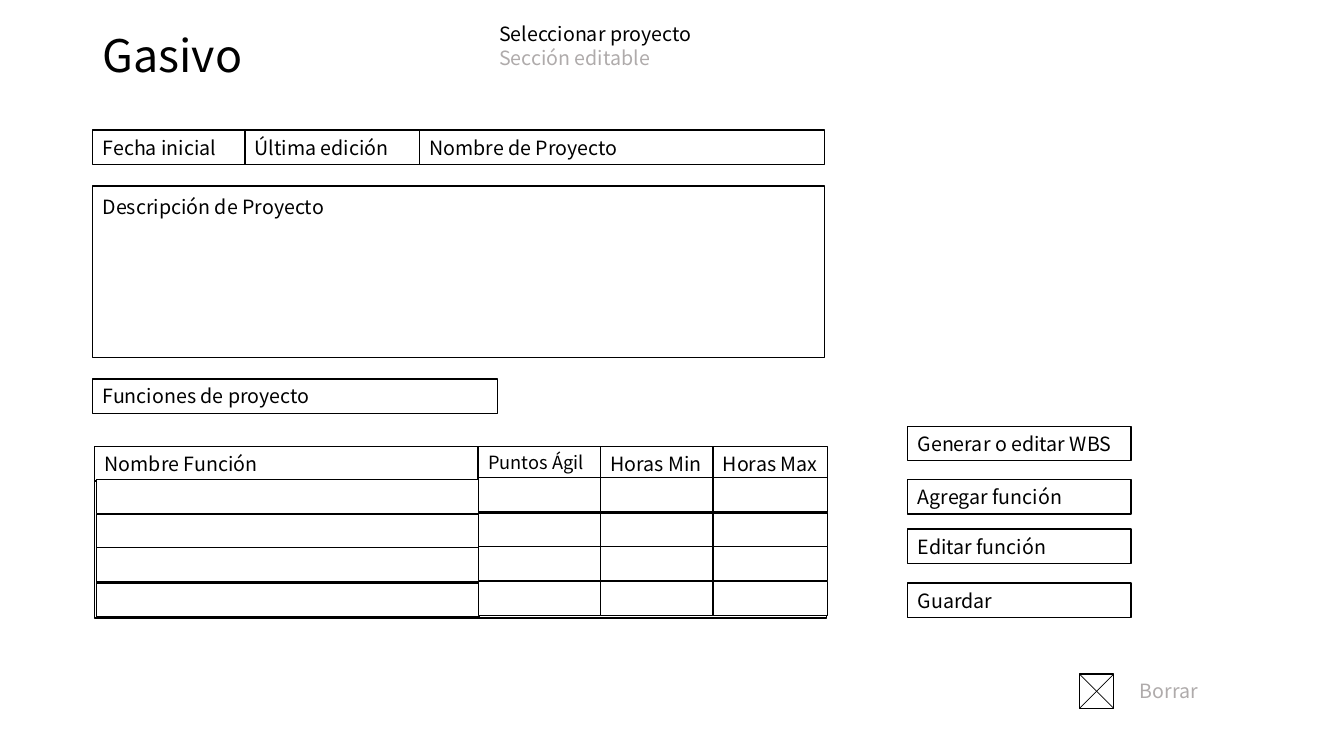
from pptx import Presentation
from pptx.dml.color import RGBColor
from pptx.enum.shapes import MSO_CONNECTOR, MSO_SHAPE
from pptx.enum.text import MSO_ANCHOR, PP_ALIGN
from pptx.oxml.ns import qn
from pptx.util import Pt
from lxml import etree

BLACK = RGBColor(0x00, 0x00, 0x00)
WHITE = RGBColor(0xFF, 0xFF, 0xFF)
GRAY = RGBColor(0xAF, 0xAB, 0xAB)
RECTANGLE = MSO_SHAPE.RECTANGLE
STRAIGHT = MSO_CONNECTOR.STRAIGHT
MIDDLE = MSO_ANCHOR.MIDDLE
LEFT = PP_ALIGN.LEFT
FONT = "Noto Sans CJK SC"
ROW_HEIGHT = 24.5


class Wireframe:
    def __init__(self, slide):
        self.shapes = slide.shapes

    def set_text(self, shape, text, size, color):
        frame = shape.text_frame
        frame.word_wrap = True
        frame.vertical_anchor = MIDDLE
        frame.margin_right = 0
        paragraph = frame.paragraphs[0]
        paragraph.alignment = LEFT
        run = paragraph.add_run()
        run.text = text
        run.font.name = FONT
        run.font.size = Pt(size)
        run.font.color.rgb = color

    def label(self, text, left, top, width, height=ROW_HEIGHT, size=14, color=BLACK):
        box = self.shapes.add_textbox(Pt(left), Pt(top), Pt(width), Pt(height))
        self.set_text(box, text, size, color)

    def box(self, left, top, width, height=ROW_HEIGHT, text="", size=14):
        shape = self.shapes.add_shape(RECTANGLE, Pt(left), Pt(top), Pt(width), Pt(height))
        shape.shadow.inherit = False
        shape.fill.solid()
        shape.fill.fore_color.rgb = WHITE
        shape.line.color.rgb = BLACK
        shape.line.width = Pt(1)
        if text:
            self.set_text(shape, text, size, BLACK)

    def line(self, x1, y1, x2, y2):
        connector = self.shapes.add_connector(STRAIGHT, Pt(x1), Pt(y1), Pt(x2), Pt(y2))
        connector.line.color.rgb = BLACK
        connector.line.width = Pt(0.5)
        etree.SubElement(connector._element.spPr, qn("a:effectLst"))


presentation = Presentation()
presentation.slide_width = Pt(960)
presentation.slide_height = Pt(540)
page = Wireframe(presentation.slides.add_slide(presentation.slide_layouts[6]))

MARGIN = 66.2
PROJECT_WIDTH = 522.7

page.label("Gasivo", MARGIN, 16, 220, 46, size=32)
page.label("Seleccionar proyecto", 349.5, 11.5, 261)
page.label("Sección editable", 349.5, 28.8, 261, color=GRAY)

field_left = MARGIN
for field, width in (("Fecha inicial", 108.7), ("Última edición", 124.6),
                     ("Nombre de Proyecto", 289.4)):
    page.box(field_left, 92.9, width, text=field)
    field_left += width

page.box(MARGIN, 133, PROJECT_WIDTH, 122.4)
page.label("Descripción de Proyecto", MARGIN, 135.2, PROJECT_WIDTH)
page.box(MARGIN, 270.7, 289.4, text="Funciones de proyecto")

TABLE_LEFT, TABLE_TOP = 67.7, 319
COLUMNS = (
    ("Nombre Función", TABLE_LEFT, 273.8, ROW_HEIGHT, 14),
    ("Puntos Ágil", 341.8, 87.2, 23, 13),
    ("Horas Min", 429, 82, ROW_HEIGHT, 14),
    ("Horas Max", 509.2, 82, ROW_HEIGHT, 14),
)
NAME_OFFSET = 1
page.box(TABLE_LEFT, TABLE_TOP, PROJECT_WIDTH, 122.4)
for heading, left, width, height, size in COLUMNS:
    page.box(left, TABLE_TOP, width, height, heading, size)
for row_top in (341.3, 366.4, 390.3, 415.4):
    for heading, left, width, height, size in COLUMNS:
        offset = NAME_OFFSET if left == TABLE_LEFT else 0
        page.box(left + offset, row_top + offset, width)

for action, top in (("Generar o editar WBS", 304.5), ("Agregar función", 342.7),
                    ("Editar función", 378), ("Guardar", 416.5)):
    page.box(648.4, top, 159.4, text=action)

CHECK_LEFT, CHECK_TOP = 771, 481.5
CHECK_RIGHT, CHECK_BOTTOM = CHECK_LEFT + ROW_HEIGHT, CHECK_TOP + ROW_HEIGHT
page.box(CHECK_LEFT, CHECK_TOP, ROW_HEIGHT)
page.line(CHECK_LEFT, CHECK_TOP, CHECK_RIGHT, CHECK_BOTTOM)
page.line(CHECK_RIGHT, CHECK_TOP, CHECK_LEFT, CHECK_BOTTOM)
page.label("Borrar", 807.1, 481.2, 131.8, color=GRAY)

presentation.save("out.pptx")
